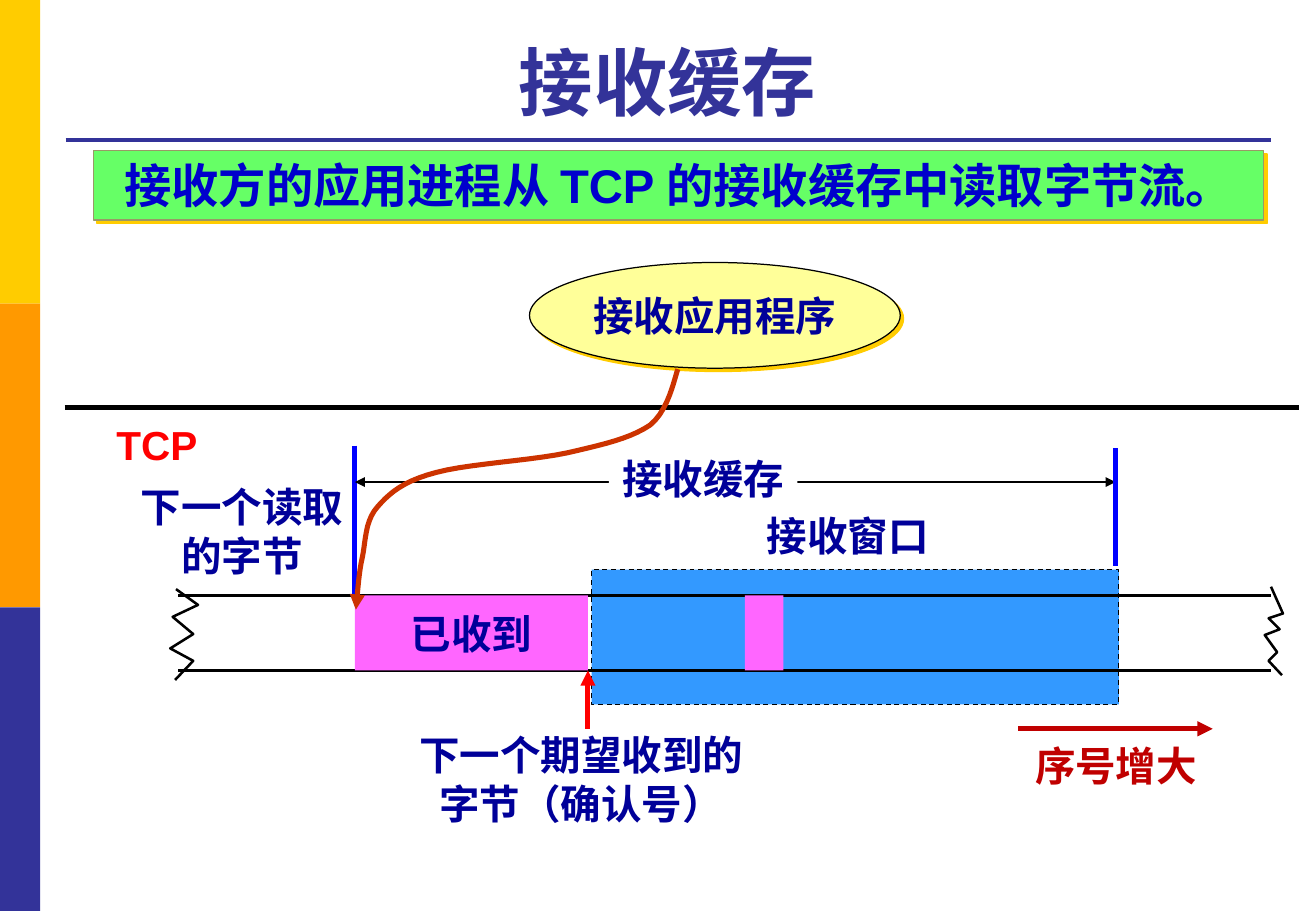
"""Build the slide on the TCP receive buffer."""
from lxml import etree
from pptx import Presentation
from pptx.dml.color import RGBColor
from pptx.enum.dml import MSO_LINE
from pptx.enum.lang import MSO_LANGUAGE_ID as LANG
from pptx.enum.shapes import MSO_CONNECTOR, MSO_SHAPE as SHAPE
from pptx.enum.text import MSO_ANCHOR as ANCHOR, PP_ALIGN
from pptx.oxml.ns import qn
from pptx.util import Cm, Pt

NAVY, INDIGO, GOLD, PINK = "000099", "333399", "FFCC00", "FF66FF"
BLACK, BLUE, RED, DARK_RED = "000000", "0000FF", "FF0000", "C00000"
BAR_W, BAR_H = 0.84, 6.35
BARS = [GOLD, "FF9900", INDIGO]

TOP, BOTTOM, LEFT, RIGHT = 12.45, 14.02, 3.73, 26.57
START, NEXT, END = 7.42, 12.29, 23.32
SPAN_Y, ARROW_Y = 10.08, 15.24

WINDOW = (12.37, 11.91, 11.02, 2.82)
PROGRAM = (11.07, 5.49, 7.75, 2.21)
BANNER = (1.96, 3.15, 24.46, 1.45)
RECEIVED = (START, TOP, NEXT - START, BOTTOM - TOP)
ISLAND = (15.57, TOP, 0.81, BOTTOM - TOP)

LINES = [
    ((1.37, 2.92), (26.57, 2.92), INDIGO, 2.25, ""),
    ((1.35, 8.53), (27.15, 8.53), BLACK, 3, ""),
    ((LEFT, TOP), (RIGHT, TOP), BLACK, 1.5, ""),
    ((LEFT, BOTTOM), (RIGHT, BOTTOM), BLACK, 1.5, ""),
    ((START, 9.32), (START, TOP), BLUE, 3, ""),
    ((START, SPAN_Y), (END, SPAN_Y), BLACK, 1.5, "both"),
    ((END, 9.37), (END, 11.84), BLUE, 3, ""),
    ((21.29, ARROW_Y), (25.35, ARROW_Y), DARK_RED, 3, "tail"),
    ((NEXT, ARROW_Y), (NEXT, BOTTOM), RED, 3, "tail"),
]
LABELS = [
    ("接收窗口", (15.75, 10.57, 3.94, 1.27), NAVY),
    ("TCP", (2.16, 8.66, 2.24, 1.27), RED),
    ("下一个读取\n的字节", (2.67, 9.96, 4.78, 2.31), NAVY),
    ("序号增大", (21.36, 15.37, 3.94, 1.27), DARK_RED),
    ("下一个期望收到的\n字节（确认号）", (8.48, 15.14, 7.34, 2.31), NAVY),
]
BREAKS = [
    [(26.57, 12.27), (26.82, 12.83), (26.52, 12.93), (26.75, 13.16),
     (26.44, 13.28), (26.7, 13.64), (26.52, 13.82), (26.8, 14.12)],
    [(3.68, 12.32), (4.14, 12.65), (3.61, 12.9), (4.04, 13.26),
     (3.56, 13.56), (4.04, 13.82), (3.66, 14.22)],
]
READ_CURVE = [
    (14.17, 7.72), (14.1, 7.92), (13.97, 8.59), (13.59, 8.89),
    (13.18, 9.17), (12.6, 9.3), (11.86, 9.47),
    (11.13, 9.63), (9.78, 9.7), (9.12, 9.88),
    (8.43, 10.06), (8.15, 10.31), (7.9, 10.59),
    (7.62, 10.9), (7.65, 11.33), (7.57, 11.68),
    (7.49, 12.04), (7.47, 12.52), (7.44, 12.75),
]
CURVE_STEPS = 10

prs = Presentation()
prs.slide_width, prs.slide_height = Cm(27.51), Cm(19.05)
slide = prs.slides.add_slide(prs.slide_layouts[6])
shapes = slide.shapes


def rgb(value):
    return RGBColor.from_string(value)


def set_line(sp, color, width, arrow=""):
    sp.line.color.rgb = rgb(color)
    sp.line.width = Pt(width)
    ends = {"both": ("headEnd", "tailEnd"), "tail": ("tailEnd",)}
    for end in ends.get(arrow, ()):
        etree.SubElement(sp.line._get_or_add_ln(), qn("a:" + end), type="triangle")


def add_block(box, fill, line=None, kind=SHAPE.RECTANGLE):
    sp = shapes.add_shape(kind, *map(Cm, box))
    sp.shadow.inherit = False
    sp.fill.solid()
    sp.fill.fore_color.rgb = rgb(fill)
    if line:
        set_line(sp, line, 0.75)
    else:
        sp.line.fill.background()
    return sp


def add_shadow(sp):
    effects = sp._element.spPr.find(qn("a:effectLst"))
    shadow = etree.SubElement(effects, qn("a:outerShdw"), dist=str(Pt(2.8)),
                              dir="2700000", algn="ctr", rotWithShape="0")
    etree.SubElement(shadow, qn("a:srgbClr"), val=GOLD)


def write(sp, text, color=NAVY, size=24, anchor=ANCHOR.TOP, wrap=False):
    tf = sp.text_frame
    tf.text = text
    tf.word_wrap = wrap
    tf.vertical_anchor = anchor
    for p in tf.paragraphs:
        p.alignment = PP_ALIGN.CENTER
        for r in p.runs:
            r.font.name, r.font.size, r.font.bold = "Arial", Pt(size), True
            r.font.color.rgb = rgb(color)
            r.font.language_id = LANG.SIMPLIFIED_CHINESE


def add_line(start, end, color, width, arrow):
    sp = shapes.add_connector(MSO_CONNECTOR.STRAIGHT, *map(Cm, start + end))
    set_line(sp, color, width, arrow)
    etree.SubElement(sp._element.spPr, qn("a:effectLst"))


def add_outline(points, color, width, arrow=""):
    pts = [(Cm(x), Cm(y)) for x, y in points]
    builder = shapes.build_freeform(*pts[0])
    builder.add_line_segments(pts[1:], close=False)
    sp = builder.convert_to_shape()
    sp.shadow.inherit = False
    sp.fill.background()
    set_line(sp, color, width, arrow)


def smooth_points(knots):
    points = [knots[0]]
    for i in range(0, len(knots) - 1, 3):
        for step in range(1, CURVE_STEPS + 1):
            t = step / CURVE_STEPS
            weights = ((1 - t) ** 3, 3 * t * (1 - t) ** 2, 3 * t * t * (1 - t), t ** 3)
            points.append(tuple(sum(w * k[axis] for w, k in zip(weights, knots[i:i + 4]))
                                for axis in (0, 1)))
    return points


for i, color in enumerate(BARS):
    add_block((0, i * BAR_H, BAR_W, BAR_H), color)
title = shapes.add_textbox(*map(Cm, (1.37, 0.53, 25.17, 2.21)))
write(title, "接收缓存", INDIGO, 44, ANCHOR.BOTTOM, True)

window = add_block(WINDOW, "3399FF", BLACK)
window.line.dash_style = MSO_LINE.DASH
program = add_block(PROGRAM, "FFFF99", BLACK, SHAPE.OVAL)
add_shadow(program)
write(program, "接收应用程序", anchor=ANCHOR.MIDDLE)

for line in LINES:
    add_line(*line)
write(add_block(RECEIVED, PINK), "已收到", anchor=ANCHOR.MIDDLE)
add_block(ISLAND, PINK)
write(add_block((12.73, 9.37, 3.94, 1.27), "FFFFFF"), "接收缓存")
add_outline(smooth_points(READ_CURVE), "CC3300", 3, "tail")
for text, box, color in LABELS:
    write(shapes.add_textbox(*map(Cm, box)), text, color)
for points in BREAKS:
    add_outline(points, BLACK, 1.5)

banner = add_block(BANNER, "66FF66", "999966")
add_shadow(banner)
write(banner, "接收方的应用进程从 TCP 的接收缓存中读取字节流。", "0000CC", 28, wrap=True)

prs.save("out.pptx")
